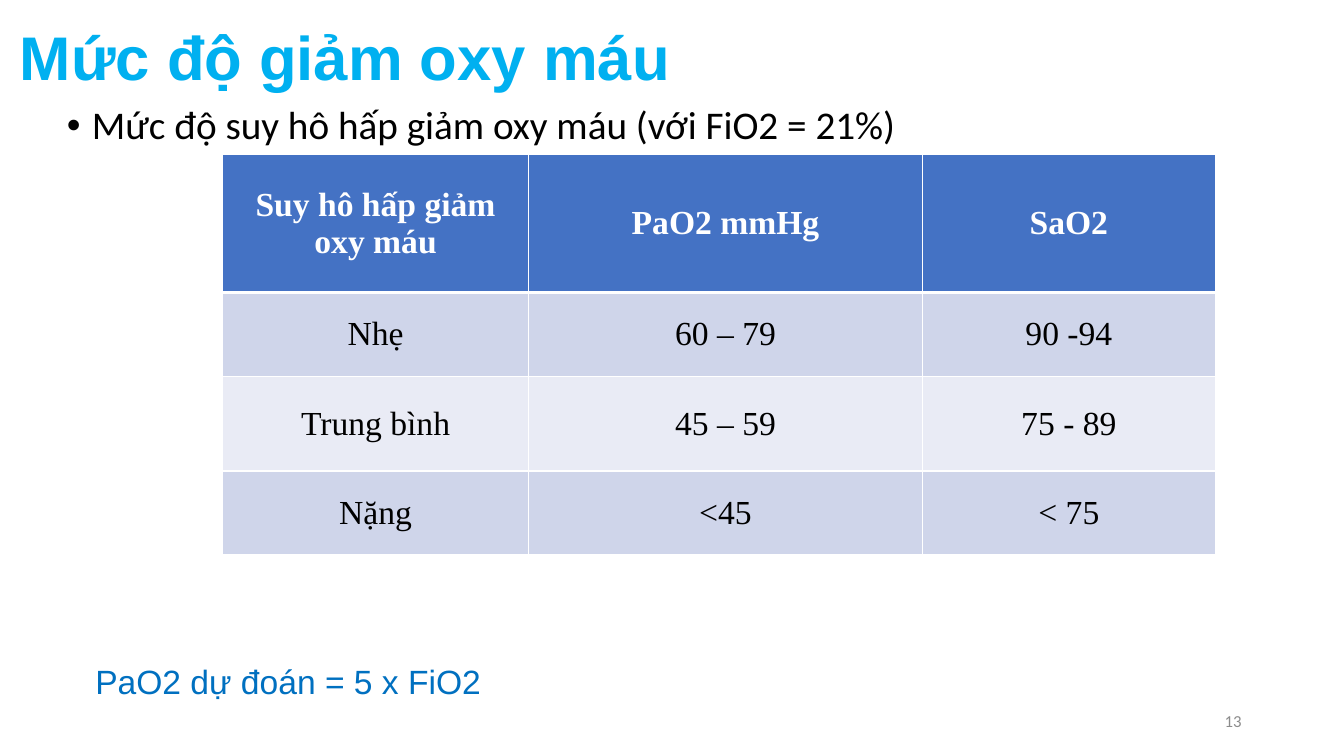
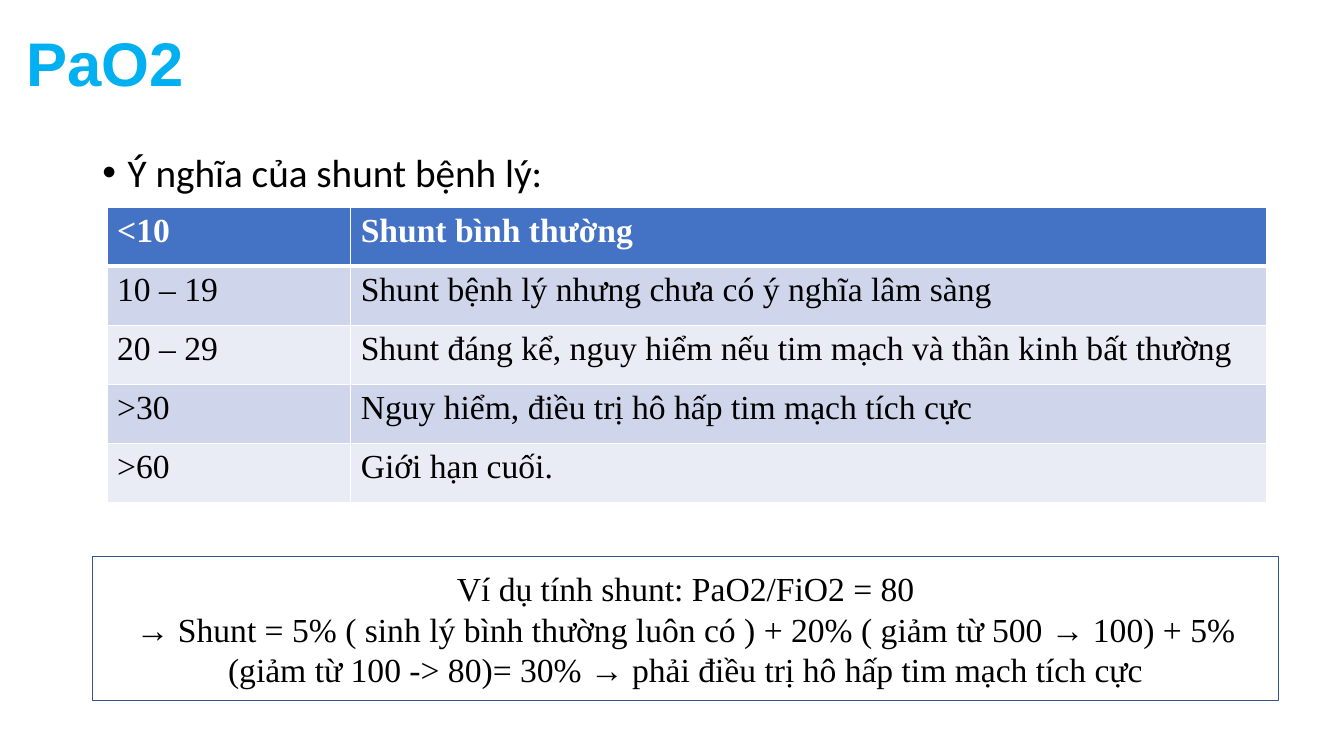
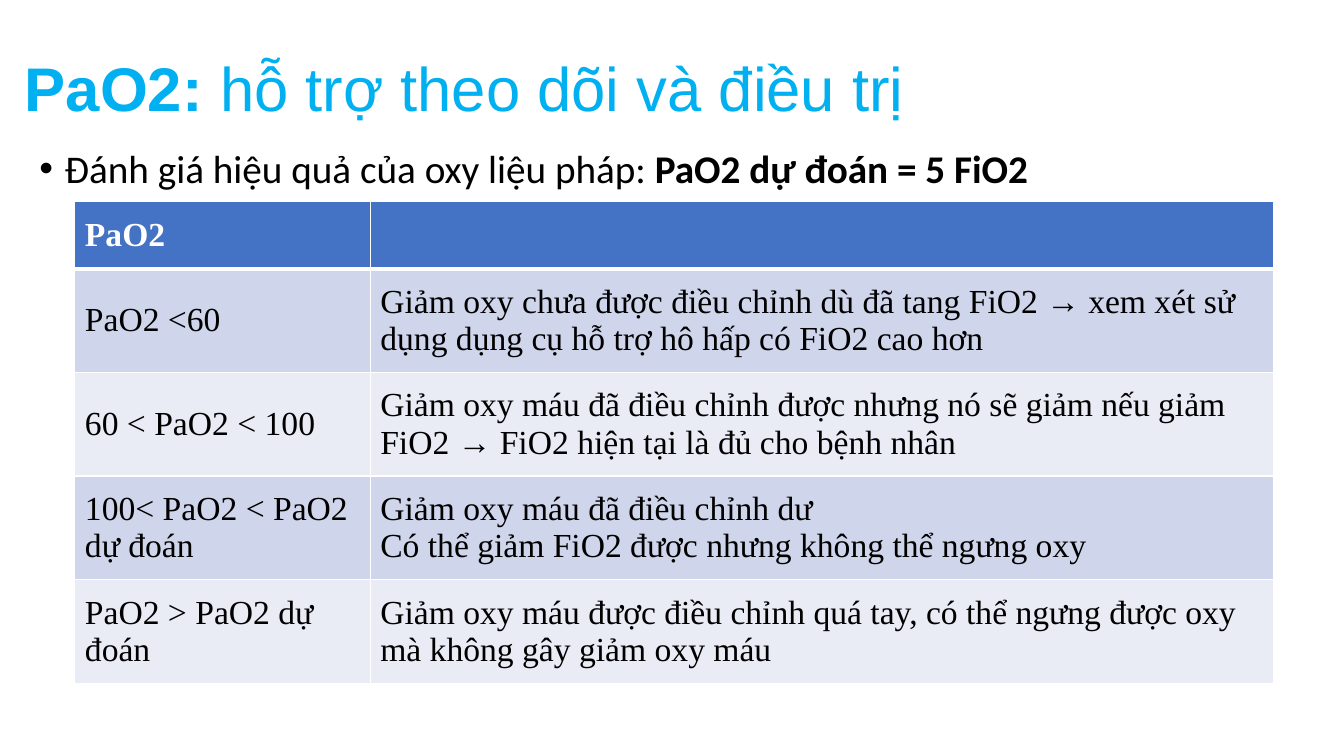
from lxml import etree
from pptx import Presentation
from pptx.dml.color import RGBColor
from pptx.enum.shapes import MSO_SHAPE
from pptx.enum.text import MSO_ANCHOR as ANCHOR, MSO_AUTO_SIZE, PP_ALIGN as ALIGN
from pptx.oxml.ns import qn
from pptx.util import Pt

COLORS = {
    "title": "00B0F0", "text": "000000", "note": "0070C0", "number": "8C8C8C",
    "header": "4472C4", "band_dark": "CFD5EA", "band_light": "E9EBF5",
    "white": "FFFFFF", "outline": "325491",
}
TITLE_FONT, BODY_FONT, TABLE_FONT = "Arial", "Calibri", "Times New Roman"
CONTENT_WIDTH = 828


def rgb(name):
    return RGBColor.from_string(COLORS[name])


class Deck:
    def __init__(self):
        self.prs = Presentation()
        self.prs.slide_width, self.prs.slide_height = Pt(960), Pt(540)
        self.slide = None

    def new_slide(self):
        self.slide = self.prs.slides.add_slide(self.prs.slide_layouts[1])

    def run(self, paragraph, text, font, size, color, bold=False):
        run = paragraph.add_run()
        run.text = text
        run.font.name, run.font.size, run.font.bold = font, Pt(size), bold
        run.font.color.rgb = rgb(color)

    def lines(self, frame, lines, font, size, color, align=ALIGN.LEFT, bold=False):
        for index, line in enumerate(lines):
            paragraph = frame.add_paragraph() if index else frame.paragraphs[0]
            paragraph.alignment = align
            self.run(paragraph, line, font, size, color, bold)

    def placeholder(self, holder, box, anchor):
        """Move a placeholder and return its first paragraph, ready for runs."""
        holder.left, holder.top, holder.width, holder.height = map(Pt, box)
        frame = holder.text_frame
        frame.auto_size, frame.vertical_anchor = MSO_AUTO_SIZE.NONE, anchor
        paragraph = frame.paragraphs[0]
        paragraph.alignment, paragraph.line_spacing = ALIGN.LEFT, 0.9
        paragraph.space_before = Pt(0)
        return paragraph

    def title(self, left, top, height, strong, plain=""):
        box = (left, top, CONTENT_WIDTH, height)
        paragraph = self.placeholder(self.slide.shapes.title, box, ANCHOR.MIDDLE)
        self.run(paragraph, strong, TITLE_FONT, 44, "title", True)
        if plain:
            self.run(paragraph, plain, TITLE_FONT, 44, "title")

    def bullet(self, left, top, plain, strong=""):
        box = (left, top, CONTENT_WIDTH, 343)
        paragraph = self.placeholder(self.slide.placeholders[1], box, ANCHOR.TOP)
        indent = paragraph._p.get_or_add_pPr()
        indent.set("marL", str(Pt(18)))
        indent.set("indent", str(-Pt(18)))
        self.run(paragraph, plain, BODY_FONT, 28, "text")
        if strong:
            self.run(paragraph, strong, BODY_FONT, 28, "text", True)

    def text(self, box, line, font, size, color, align=ALIGN.LEFT):
        frame = self.slide.shapes.add_textbox(*map(Pt, box)).text_frame
        frame.word_wrap, frame.vertical_anchor = True, ANCHOR.MIDDLE
        self.lines(frame, [line], font, size, color, align)

    def framed_text(self, box, lines):
        frame_box = self.slide.shapes.add_shape(MSO_SHAPE.RECTANGLE, *map(Pt, box))
        frame_box.shadow.inherit = False
        frame_box.fill.background()
        frame_box.line.color.rgb, frame_box.line.width = rgb("outline"), Pt(1)
        frame_box.text_frame.vertical_anchor = ANCHOR.MIDDLE
        self.lines(frame_box.text_frame, lines, TABLE_FONT, 24, "text", ALIGN.CENTER)

    def borders(self, cell, row):
        """White cell borders, thicker between the header and the first row."""
        widths = {"lnL": 1, "lnR": 1, "lnT": 3 if row == 1 else 1,
                  "lnB": 3 if row == 0 else 1}
        properties = cell._tc.get_or_add_tcPr()
        for position, (side, width) in enumerate(widths.items()):
            edge = etree.Element(qn(f"a:{side}"), w=str(Pt(width)))
            fill = etree.SubElement(edge, qn("a:solidFill"))
            etree.SubElement(fill, qn("a:srgbClr"), val=COLORS["white"])
            properties.insert(position, edge)

    def table(self, left, top, widths, heights, rows,
              anchor=ANCHOR.MIDDLE, align=ALIGN.LEFT):
        """Each cell is a text; a line break in it starts a new paragraph."""
        grid = self.slide.shapes.add_table(
            len(rows), len(widths), Pt(left), Pt(top),
            Pt(sum(widths)), Pt(sum(heights))).table
        for column, width in zip(grid.columns, widths):
            column.width = Pt(width)
        for r, (height, texts) in enumerate(zip(heights, rows)):
            grid.rows[r].height = Pt(height)
            band = "header" if r == 0 else "band_dark" if r % 2 else "band_light"
            color = "text" if r else "white"
            for c, text in enumerate(texts):
                cell = grid.cell(r, c)
                cell.vertical_anchor = anchor
                cell.fill.solid()
                cell.fill.fore_color.rgb = rgb(band)
                self.borders(cell, r)
                if text:
                    self.lines(cell.text_frame, text.split("\n"),
                               TABLE_FONT, 24, color, align, r == 0)


def hypoxemia_levels(deck):
    deck.new_slide()
    deck.title(7, 6, 75, "Mức độ giảm oxy máu")
    deck.bullet(40.5, 72, "Mức độ suy hô hấp giảm oxy máu (với FiO2 = 21%)")
    deck.text((678, 500.5, 216, 29), "13", BODY_FONT, 12, "number", ALIGN.RIGHT)
    deck.table(159, 110.5, [218.5, 281.5, 209], [98.5, 60, 67.5, 60], [
        ["Suy hô hấp giảm oxy máu", "PaO2 mmHg", "SaO2"],
        ["Nhẹ", "60 – 79", "90 -94"],
        ["Trung bình", "45 – 59", "75 - 89"],
        ["Nặng", "<45", "< 75"],
    ], align=ALIGN.CENTER)
    deck.text((61, 451.5, 312.5, 70.5), "PaO2 dự đoán = 5 x FiO2",
              TITLE_FONT, 24, "note")


def shunt_meaning(deck):
    deck.new_slide()
    deck.title(11.5, 16, 62.5, "PaO2")
    deck.bullet(66, 106, "Ý nghĩa của shunt bệnh lý:")
    deck.table(76.5, 148, [174, 654], [42.2] * 5, [
        ["<10", "Shunt bình thường"],
        ["10 – 19", "Shunt bệnh lý nhưng chưa có ý nghĩa lâm sàng"],
        ["20 – 29", "Shunt đáng kể, nguy hiểm nếu tim mạch và thần kinh bất thường"],
        [">30", "Nguy hiểm, điều trị hô hấp tim mạch tích cực"],
        [">60", "Giới hạn cuối."],
    ], anchor=ANCHOR.TOP)
    deck.framed_text((66, 397.5, 847.5, 103), [
        "Ví dụ tính shunt: PaO2/FiO2 = 80",
        "→ Shunt = 5% ( sinh lý bình thường luôn có ) + 20% ( giảm từ 500 → 100) "
        "+ 5% (giảm từ 100 -> 80)= 30% → phải điều trị hô hấp tim mạch tích cực",
    ])


def oxygen_therapy(deck):
    deck.new_slide()
    deck.title(10.5, 13, 104.5, "PaO2: ", "hỗ trợ theo dõi và điều trị")
    deck.bullet(21, 103, "Đánh giá hiệu quả của oxy liệu pháp:", " PaO2 dự đoán = 5 FiO2")
    deck.table(53.5, 144, [211, 645], [48] + [74] * 4, [
        ["PaO2", ""],
        ["PaO2 <60", "Giảm oxy chưa được điều chỉnh dù đã tang FiO2 → xem xét sử "
         "dụng dụng cụ hỗ trợ hô hấp có FiO2 cao hơn"],
        ["60 < PaO2 < 100", "Giảm oxy máu đã điều chỉnh được nhưng nó sẽ giảm nếu giảm "
         "FiO2 → FiO2 hiện tại là đủ cho bệnh nhân"],
        ["100< PaO2 < PaO2 dự đoán", "Giảm oxy máu đã điều chỉnh dư\n"
         "Có thể giảm FiO2 được nhưng không thể ngưng oxy"],
        ["PaO2 > PaO2 dự đoán", "Giảm oxy máu được điều chỉnh quá tay, có thể ngưng "
         "được oxy mà không gây giảm oxy máu"],
    ])


def main():
    deck = Deck()
    hypoxemia_levels(deck)
    shunt_meaning(deck)
    oxygen_therapy(deck)
    deck.prs.save("out.pptx")


if __name__ == "__main__":
    main()
